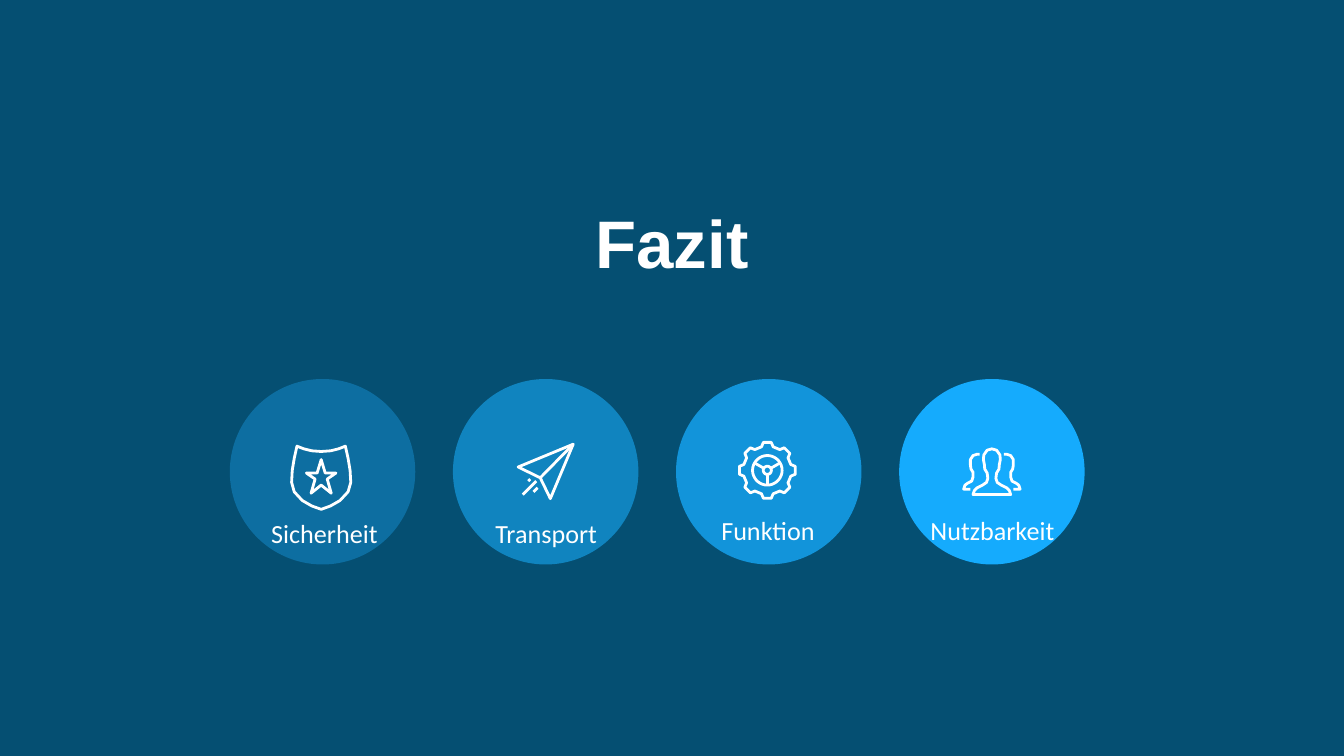
import math

import pptx
import pptx.dml.color
import pptx.enum.shapes
import pptx.enum.text
import pptx.util

Inches = pptx.util.Inches

COLORS = {
    "background": "054F72",
    "white": "FFFFFF",
    "security": "0D6EA1",
    "transport": "1084BF",
    "function": "1294DA",
    "usability": "15ABFD",
}
TITLE = "Fazit"
TOPICS = [
    {"label": "Sicherheit", "color": "security", "icon": "shield",
     "icon_at": (2.16, 3.3), "label_box": (1.88, 3.8, 1.07, 0.34)},
    {"label": "Transport", "color": "transport", "icon": "plane",
     "icon_at": (3.84, 3.29), "label_box": (3.53, 3.8, 1.07, 0.34)},
    {"label": "Funktion", "color": "function", "icon": "gear",
     "icon_at": (5.49, 3.28), "label_box": (5.18, 3.78, 1.07, 0.34)},
    {"label": "Nutzbarkeit", "color": "usability", "icon": "people",
     "icon_at": (7.16, 3.33), "label_box": (6.8, 3.78, 1.17, 0.34)},
]
CIRCLE_LEFT, CIRCLE_TOP, CIRCLE_SIZE, CIRCLE_STEP = 1.71, 2.82, 1.38, 1.66

SHIELD_HALF = [(23, 6), (30, 5.5), (36, 4), (41, 2), (43, 11), (44.5, 20),
               (45, 29), (43, 36), (37, 42.5), (30, 46.5), (23, 49)]
STAR_HALF = [(23, 12), (26, 22), (34, 22), (27.5, 26.5), (30.5, 37), (23, 31)]
PERSON_HALF = [(22, 1), (25.5, 2), (28, 5.5), (28.3, 9), (27.5, 13), (27.3, 16),
               (25.5, 19), (25, 23), (26, 26), (29, 28), (33, 30), (35, 32), (36, 35)]
NEIGHBOUR = [(31, 5), (33, 5), (36, 6), (38, 9), (38, 13), (37.5, 16), (36, 18.5),
             (36, 22), (37, 25), (40, 26.5), (42, 28), (43, 31), (38, 31)]


def mirror(points, axis):
    return [(2 * axis - x, y) for x, y in points]


def symmetric(half, axis):
    return half + mirror(half, axis)[::-1]


def polar(radius, degrees):
    angle = math.radians(degrees)
    return 22 + radius * math.sin(angle), 22 - radius * math.cos(angle)


def ring(radius):
    return [polar(radius, degrees) for degrees in range(0, 360, 10)]


TOOTH = [(18, -14), (21, -8), (21, 8), (18, 14)]
GEAR = [polar(radius, tooth + offset) for tooth in range(0, 360, 45)
        for radius, offset in TOOTH]

ICONS = {
    "shield": [(symmetric(SHIELD_HALF, 23), True), (symmetric(STAR_HALF, 23), True)],
    "plane": [
        ([(1.5, 18.5), (42.5, 1.5), (25.5, 42), (18, 26.5)], True),
        ([(18, 26.5), (42.5, 1.5)], False),
        ([(5, 39), (15, 29)], False),
        ([(13, 37), (16, 34)], False),
        ([(9, 29), (10.5, 27.5)], False),
    ],
    "gear": [(GEAR, True), (ring(11), True), (ring(3), True)]
    + [([polar(3, degrees), polar(11, degrees)], False) for degrees in (60, 180, 300)],
    "people": [
        (symmetric(PERSON_HALF, 22), True),
        (NEIGHBOUR, False),
        (mirror(NEIGHBOUR, 22), False),
    ],
}


def rgb(name):
    return pptx.dml.color.RGBColor.from_string(COLORS[name])


def add_filled(slide, kind, box, color):
    shape = slide.shapes.add_shape(kind, *map(Inches, box))
    shape.shadow.inherit = False
    shape.fill.solid()
    shape.fill.fore_color.rgb = rgb(color)
    shape.line.fill.background()


def add_icon(slide, strokes, left, top):
    builder = None
    for points, closed in strokes:
        placed = [(Inches(left + x / 100), Inches(top + y / 100)) for x, y in points]
        if builder is None:
            builder = slide.shapes.build_freeform(*placed[0])
        else:
            builder.move_to(*placed[0])
        builder.add_line_segments(placed[1:], close=closed)
    shape = builder.convert_to_shape()
    shape.shadow.inherit = False
    shape.fill.background()
    shape.line.color.rgb = rgb("white")
    shape.line.width = pptx.util.Pt(1.5)


def write_text(shape, text, font_name, size, bold=False):
    shape.text_frame.text = text
    shape.text_frame.word_wrap = True
    paragraph = shape.text_frame.paragraphs[0]
    paragraph.alignment = pptx.enum.text.PP_ALIGN.CENTER
    paragraph.font.name = font_name
    paragraph.font.size = pptx.util.Pt(size)
    paragraph.font.bold = bold
    paragraph.font.color.rgb = rgb("white")


def main():
    presentation = pptx.Presentation()
    presentation.slide_width = Inches(10)
    presentation.slide_height = presentation.slide_width * 9 // 16
    slide = presentation.slides.add_slide(presentation.slide_layouts[5])
    shape_kinds = pptx.enum.shapes.MSO_SHAPE

    add_filled(slide, shape_kinds.RECTANGLE, (-0.02, -0.01, 10.02, 5.69), "background")
    title = slide.shapes.title
    slide.shapes._spTree.append(title._element)
    title.left, title.top, title.width, title.height = map(Inches, (1.05, 1.46, 7.9, 0.67))
    write_text(title, TITLE, "Arial", 36, bold=True)

    for index, topic in enumerate(TOPICS):
        left = CIRCLE_LEFT + index * CIRCLE_STEP
        circle = (left, CIRCLE_TOP, CIRCLE_SIZE, CIRCLE_SIZE)
        add_filled(slide, shape_kinds.OVAL, circle, topic["color"])
        add_icon(slide, ICONS[topic["icon"]], *topic["icon_at"])
        label = slide.shapes.add_textbox(*map(Inches, topic["label_box"]))
        write_text(label, topic["label"], "Calibri", 14)

    presentation.save("out.pptx")


if __name__ == "__main__":
    main()
